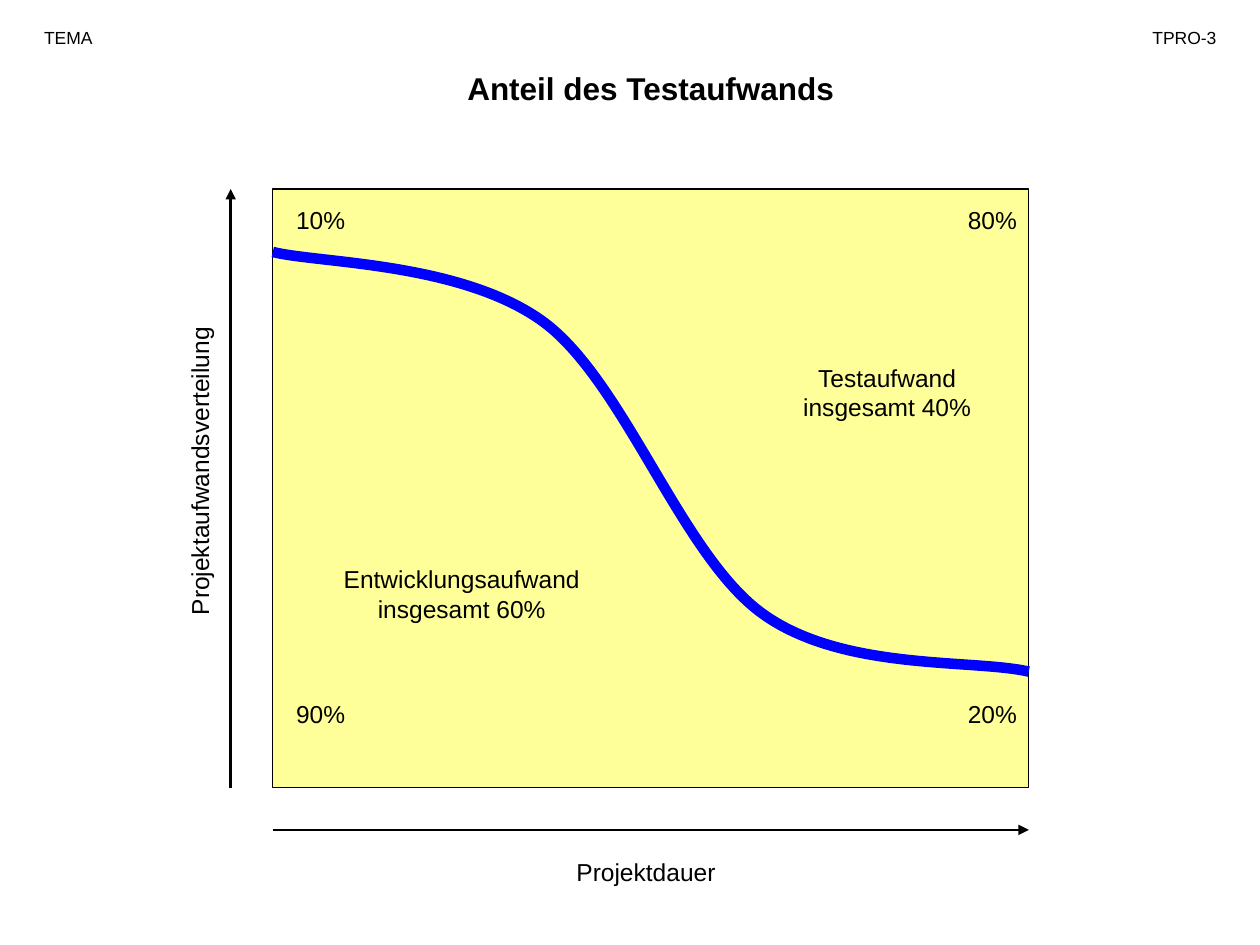
from lxml import etree
from pptx import Presentation
from pptx.dml.color import RGBColor
from pptx.enum.shapes import MSO_CONNECTOR, MSO_SHAPE
from pptx.enum.text import MSO_AUTO_SIZE, PP_ALIGN
from pptx.oxml.ns import qn
from pptx.util import Cm, Pt

LEFT, CENTER, RIGHT = PP_ALIGN.LEFT, PP_ALIGN.CENTER, PP_ALIGN.RIGHT
RECTANGLE = MSO_SHAPE.RECTANGLE
STRAIGHT = MSO_CONNECTOR.STRAIGHT
FIT_SHAPE = MSO_AUTO_SIZE.SHAPE_TO_FIT_TEXT


def paint(color_format, hex_color):
    color_format.rgb = RGBColor.from_string(hex_color)


def add_label(lines, left, top, width, height, align=CENTER, size=14, bold=False, rotation=0):
    label = slide.shapes.add_textbox(Cm(left), Cm(top), Cm(width), Cm(height))
    label.rotation = rotation
    frame = label.text_frame
    frame.word_wrap = True
    frame.auto_size = FIT_SHAPE
    paragraph = frame.paragraphs[0]
    paragraph.alignment = align
    for index, line in enumerate(lines):
        if index:
            paragraph.add_line_break()
        run = paragraph.add_run()
        run.text = line
        run.font.name = "Arial"
        run.font.size = Pt(size)
        run.font.bold = bold
        paint(run.font.color, "000000")


presentation = Presentation()
presentation.slide_width = Cm(25.4)
presentation.slide_height = Cm(19.05)
slide = presentation.slides.add_slide(presentation.slide_layouts[6])

plot_left, plot_top, plot_width, plot_height = 5.5, 3.81, 15.24, 12.07
plot_right = plot_left + plot_width
plot_bottom = plot_top + plot_height

plot = slide.shapes.add_shape(RECTANGLE, Cm(plot_left), Cm(plot_top), Cm(plot_width), Cm(plot_height))
plot.shadow.inherit = False
plot.fill.solid()
paint(plot.fill.fore_color, "FFFF99")
paint(plot.line.color, "000000")
plot.line.width = Pt(0.75)

add_label(["Anteil des Testaufwands"], plot_left, 1.27, plot_width, 1.02, size=18, bold=True)
add_label(["TEMA"], 0.64, 0.42, 2.33, 0.68, LEFT, 10)
add_label(["TPRO-3"], 22.02, 0.42, 2.75, 0.68, RIGHT, 10)

time_axis_y = plot_bottom + 0.85
effort_axis_x = plot_left - 0.85
for start_x, start_y, end_x, end_y in [
    (plot_left, time_axis_y, plot_right, time_axis_y),
    (effort_axis_x, plot_bottom, effort_axis_x, plot_top),
]:
    axis = slide.shapes.add_connector(STRAIGHT, Cm(start_x), Cm(start_y), Cm(end_x), Cm(end_y))
    paint(axis.line.color, "000000")
    axis.line.width = Pt(1.5)
    etree.SubElement(axis.line._get_or_add_ln(), qn("a:tailEnd"), type="triangle")
    etree.SubElement(axis._element.spPr, qn("a:effectLst"))

add_label(["Projektdauer"], 10.8, 17.15, 4.45, 0.86)
add_label(["Projektaufwandsverteilung"], 0.64, 9.07, 6.78, 0.86, rotation=270)
add_label(["Entwicklungsaufwand", "insgesamt 60%"], 6.35, 11.25, 5.92, 1.45)
add_label(["Testaufwand", "insgesamt 40%"], 15.88, 7.19, 4.01, 1.45)

start_left, end_left = 5.72, 19.26
test_top, development_top = 4.01, 13.97
for share, left, top in [
    ("10%", start_left, test_top),
    ("20%", end_left, development_top),
    ("90%", start_left, development_top),
    ("80%", end_left, test_top),
]:
    add_label([share], left, top, 1.7, 0.86, LEFT)

curve_start = (5.5, 5.08)
curve_controls = [
    (6.4, 5.31), (9.32, 5.28), (10.97, 6.5),
    (12.6, 7.72), (13.74, 11.2), (15.37, 12.37),
    (16.99, 13.54), (19.61, 13.28), (20.74, 13.54),
]
builder = slide.shapes.build_freeform(Cm(curve_start[0]), Cm(curve_start[1]))
builder.add_line_segments([(Cm(x), Cm(y)) for x, y in curve_controls], close=False)
curve = builder.convert_to_shape()
curve.shadow.inherit = False
curve.fill.background()
paint(curve.line.color, "0000FF")
curve.line.width = Pt(6)

outline = next(curve._element.iter(qn("a:path")))
segments = outline.findall(qn("a:lnTo"))
for first in range(0, len(segments), 3):
    bezier = etree.SubElement(outline, qn("a:cubicBezTo"))
    for segment in segments[first:first + 3]:
        bezier.append(segment[0])
        outline.remove(segment)

presentation.save("out.pptx")
